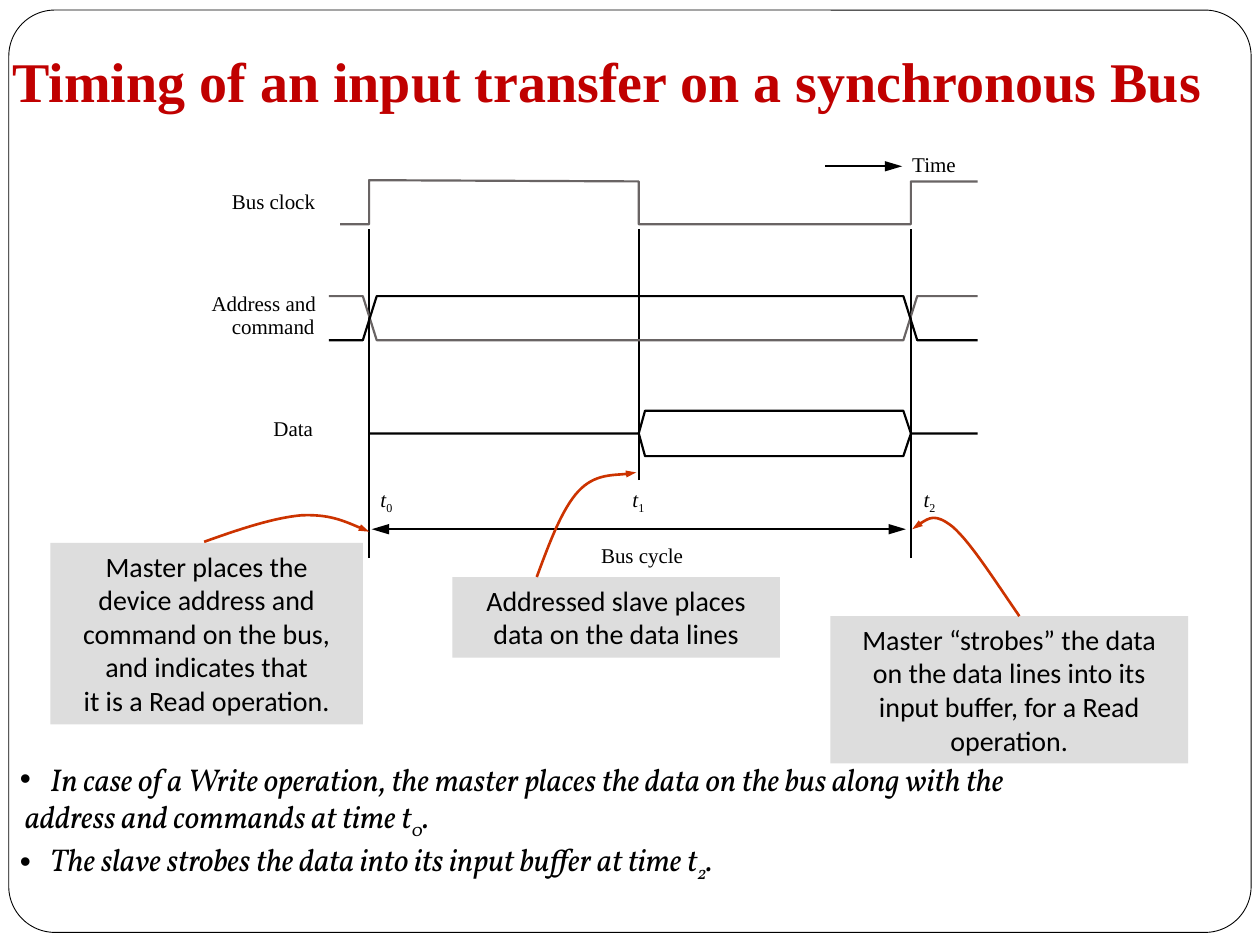
from lxml import etree
from pptx import Presentation
from pptx.dml.color import RGBColor
from pptx.enum.shapes import MSO_CONNECTOR, MSO_SHAPE
from pptx.enum.text import MSO_ANCHOR, PP_ALIGN
from pptx.oxml.ns import qn
from pptx.util import Pt

PX = 9144  # 100 px to the inch
LEFT, CENTER = PP_ALIGN.LEFT, PP_ALIGN.CENTER
TOP, BOTTOM = MSO_ANCHOR.TOP, MSO_ANCHOR.BOTTOM
RECT, ROUND = MSO_SHAPE.RECTANGLE, MSO_SHAPE.ROUNDED_RECTANGLE
STRAIGHT = MSO_CONNECTOR.STRAIGHT

THEME = {
    "white": RGBColor(0xFF, 0xFF, 0xFF),
    "black": RGBColor(0, 0, 0),
    "gray": RGBColor(0x69, 0x64, 0x64),
    "panel": RGBColor(0xDD, 0xDD, 0xDD),
    "red": RGBColor(0xC0, 0, 0),
    "rust": RGBColor(0xCC, 0x33, 0),
    # role: font, size, colour, bold, italic
    "title": ("Times New Roman", 32, "red", True, False),
    "label": ("Times New Roman", 12, "black", False, False),
    "time": ("Times New Roman", 12, "black", False, True),
    "call": ("Calibri", 16, "black", False, False),
    "note": ("Vollkorn", 18, "black", False, True),
}

deck = Presentation()
deck.slide_width, deck.slide_height = 1000 * PX, 750 * PX
slide = deck.slides.add_slide(deck.slide_layouts[6])
shapes = slide.shapes


def write(shape, lines, role, align=LEFT, inset=(10, 5, 10, 5), wrap=False):
    """Fill a shape with lines; text between underscores is set as subscript."""
    face, size, color, bold, italic = THEME[role]
    frame = shape.text_frame
    frame.word_wrap = wrap
    frame.vertical_anchor = TOP
    (frame.margin_left, frame.margin_top,
     frame.margin_right, frame.margin_bottom) = [n * PX for n in inset]
    frame.text = "\n".join(line.split("_")[0] for line in lines)
    for para, line in zip(frame.paragraphs, lines):
        para.alignment = align
        for part in line.split("_")[1:]:
            para.add_run().text = part
        for i, run in enumerate(para.runs):
            font = run.font
            font.name, font.size = face, Pt(size)
            font.bold, font.italic = bold, italic
            font.color.rgb = THEME[color]
            if i % 2:
                font.italic = role == "note"
                run._r.get_or_add_rPr().set("baseline", "-25000")
    return frame


def trace(points, color, width=1.25):
    """Draw an open outline through the points."""
    pen = shapes.build_freeform(*points[0], scale=PX)
    pen.add_line_segments(points[1:], close=False)
    shape = pen.convert_to_shape()
    shape.shadow.inherit = False
    shape.fill.background()
    shape.line.color.rgb = THEME[color]
    shape.line.width = Pt(width)
    return shape


# Frame and title
frame = shapes.add_shape(ROUND, 7 * PX, 8 * PX, 986 * PX, 732 * PX)
frame.adjustments[0] = 0.05
frame.shadow.inherit = False
frame.fill.solid()
frame.fill.fore_color.rgb = THEME["white"]
frame.line.color.rgb = THEME["black"]
frame.line.width = Pt(0.5)

title = shapes.add_textbox(0, 25 * PX, 1000 * PX, 75 * PX)
write(title, ["Timing of an input transfer on a synchronous Bus"], "title",
      inset=(10, 5, 10, 10), wrap=True).vertical_anchor = BOTTOM

# Time marks, bus cycle span and time arrow
T0, T1, T2, END = 293, 507, 723, 776
lines = [
    (T2, 443, T2, 182, []),
    (T0, 443, T0, 182, []),
    (T1, 381, T1, 182, []),
    (295, 420, 719, 420, ["headEnd", "tailEnd"]),
    (655, 132, 716, 132, ["tailEnd"]),
]
for x1, y1, x2, y2, heads in lines:
    line = shapes.add_connector(STRAIGHT, x1 * PX, y1 * PX, x2 * PX, y2 * PX)
    line.line.color.rgb = THEME["black"]
    line.line.width = Pt(1.25)
    stroke = line.element.xpath(".//a:ln")[0]
    for head in heads:
        etree.SubElement(stroke, qn(f"a:{head}"), type="triangle", w="med", len="lg")
    etree.SubElement(line.element.spPr, qn("a:effectLst"))

# Signals: address pair crossing at t0 and t2, data valid from t1 to t2, clock
HIGH, LOW = 235, 270
for color, near, far in [("gray", HIGH, LOW), ("black", LOW, HIGH)]:
    trace([(END, near), (T2 + 5, near), (T2 - 6, far),
           (T0 + 6, far), (T0 - 5, near), (261, near)], color)

MID = 344
trace([(T2, MID), (T2 - 6, 362), (T1 + 5, 362), (T1, MID)], "black")
trace([(END, MID), (T2, MID), (T2 - 6, 326), (T1 + 5, 326), (T1, MID), (T0, MID)],
      "black")
trace([(END, 144), (T2, 144), (T2, 178), (T1, 178), (T1, 144),
       (T0, 143), (T0, 178), (270, 178)], "gray")

# Labels, each box a little wider than its text so that it stays on one line
labels = [
    ("Bus cycle", 477, 431, 75, "label"),
    ("Data", 217, 330, 42, "label"),
    ("Bus clock", 184, 150, 76, "label"),
    ("Address and", 168, 231, 93, "label"),
    ("command", 184, 249, 76, "label"),
    ("Time", 724, 120, 46, "label"),
    ("t_0", 302, 386, 20, "time"),
    ("t_1", 502, 386, 20, "time"),
    ("t_2", 733, 386, 20, "time"),
]
for text, x, y, w, role in labels:
    box = shapes.add_textbox(x * PX, y * PX, w * PX, 20 * PX)
    write(box, [text], role, inset=(0, 0, 0, 0), wrap=True)

# Callouts
calls = [
    (40, 431, 248, 144, ["Master places the", "device address and",
                         "command on the bus,", "and indicates that",
                         "it is a Read operation."]),
    (359, 458, 260, 64, ["Addressed slave places", "data on the data lines"]),
    (659, 489, 284, 117, ["Master “strobes” the data", "on the data lines into its",
                          "input buffer, for a Read", "operation."]),
]
for x, y, w, h, text in calls:
    panel = shapes.add_shape(RECT, x * PX, y * PX, w * PX, h * PX)
    panel.shadow.inherit = False
    panel.fill.solid()
    panel.fill.fore_color.rgb = THEME["panel"]
    panel.line.fill.background()
    write(panel, text, "call", CENTER)

# Curved pointers: a start, then three points for each Bezier piece
curves = [
    [(162, 430), (190, 420), (217, 411), (239, 409), (261, 408), (277, 415), (293, 422)],
    [(426, 458), (436, 431), (446, 404), (459, 390), (472, 376), (498, 377), (505, 375)],
    [(809, 489), (789, 460), (770, 430), (756, 418), (742, 407), (733, 413), (724, 420)],
]
for points in curves:
    curve = trace(points, "rust", 1.5)
    route = curve.element.xpath(".//a:path")[0]
    steps = route.findall(qn("a:lnTo"))
    for i in range(0, len(steps), 3):
        bend = etree.SubElement(route, qn("a:cubicBezTo"))
        for step in steps[i:i + 3]:
            bend.append(step[0])
            route.remove(step)
    stroke = curve.element.xpath(".//a:ln")[0]
    etree.SubElement(stroke, qn("a:tailEnd"), type="triangle", w="sm", len="med")

# Notes
notes = shapes.add_textbox(6 * PX, 598 * PX, 978 * PX, 108 * PX)
text = [
    "In case of a Write operation, the master places the data on the bus along with the",
    "address and commands at time t_0_.",
    "The slave strobes the data into its input buffer at time t_2_.",
]
body = write(notes, text, "note", wrap=True)
for para, mark in zip(body.paragraphs, [True, False, True]):
    props = para._p.get_or_add_pPr()
    props.set("marL", str((24 if mark else 4) * PX))
    props.set("indent", str(-24 * PX if mark else 0))
    if mark:
        tint = etree.SubElement(props, qn("a:buClr"))
        etree.SubElement(tint, qn("a:srgbClr"), val=str(THEME["black"]))
        etree.SubElement(props, qn("a:buFont"), typeface="Arial")
        etree.SubElement(props, qn("a:buChar"), char="•")

deck.save("out.pptx")
